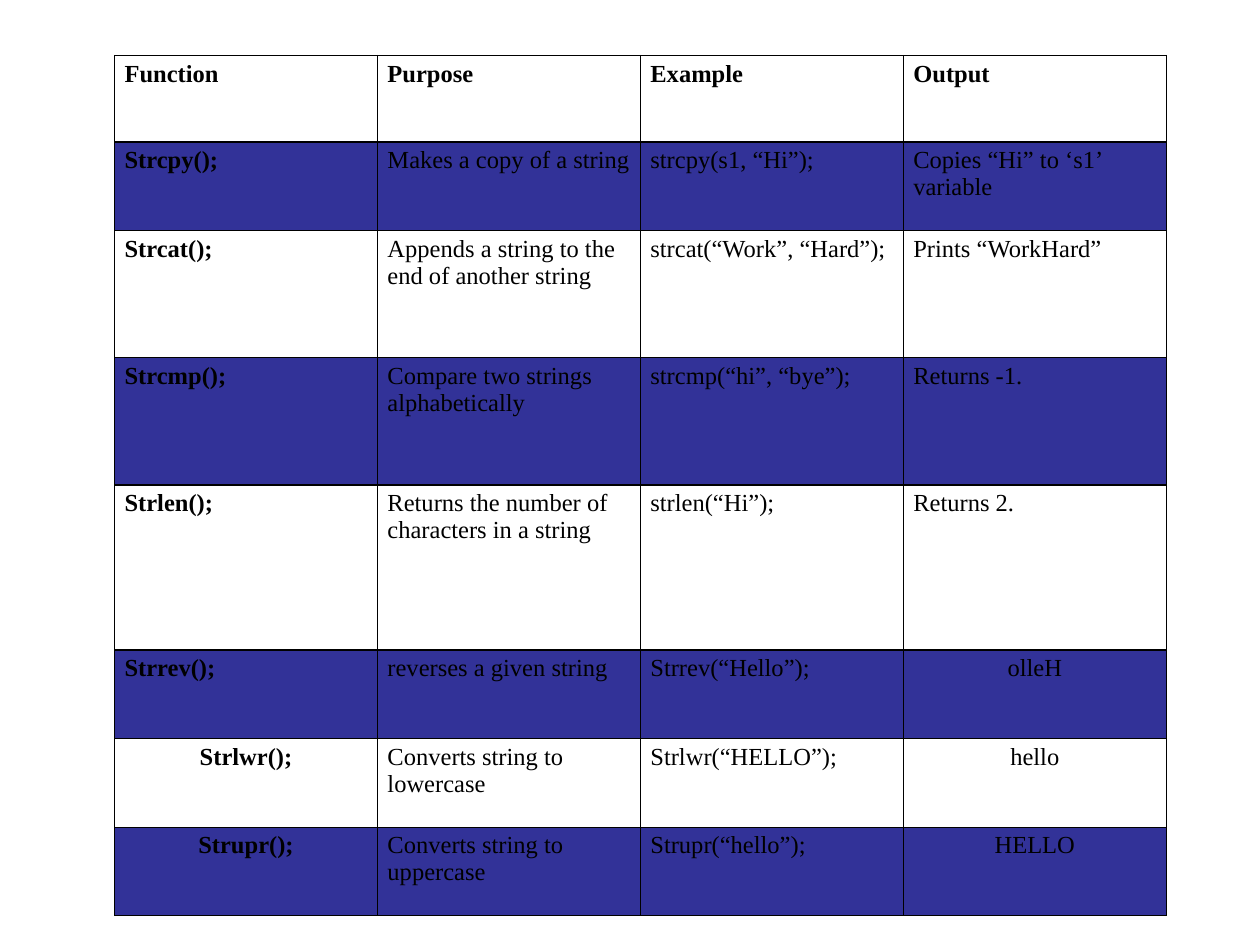
from dataclasses import dataclass
from typing import NamedTuple

from lxml import etree
from pptx import Presentation
from pptx.dml.color import RGBColor
from pptx.enum.text import PP_ALIGN
from pptx.oxml.ns import qn
from pptx.table import Table, _Cell
from pptx.util import Pt

LEFT, CENTER = PP_ALIGN.LEFT, PP_ALIGN.CENTER
BLANK_LAYOUT = 6


@dataclass(frozen=True)
class Theme:
    font: str = "Times New Roman"
    size: float = 14
    ink: str = "000000"
    band: str = "323298"
    thin: float = 0.67
    thick: float = 1.34
    margin_x: float = 5.67
    margin_y: float = 2.83


class FunctionRow(NamedTuple):
    height: float
    texts: tuple[str, str, str, str]
    centered: tuple[int, ...] = ()


THEME = Theme()
TABLE_LEFT, TABLE_TOP, COLUMN_WIDTH = 65.5, 31.7, 150.25
SHORT, MEDIUM, TALL = 50.6, 72.7, 94.3

# A no-break space keeps the last words of a purpose together.
ROWS = (
    FunctionRow(49.5, ("Function", "Purpose", "Example", "Output")),
    FunctionRow(SHORT, ("Strcpy();", "Makes a copy of a string",
                        "strcpy(s1, “Hi”);", "Copies “Hi” to ‘s1’ variable")),
    FunctionRow(MEDIUM, ("Strcat();", "Appends a string to the end of another string",
                         "strcat(“Work”, “Hard”);", "Prints “WorkHard”")),
    FunctionRow(MEDIUM, ("Strcmp();", "Compare two strings alphabetically",
                         "strcmp(“hi”, “bye”);", "Returns -1.")),
    FunctionRow(TALL, ("Strlen();", "Returns the number of characters in a string",
                       "strlen(“Hi”);", "Returns 2.")),
    FunctionRow(SHORT, ("Strrev();", "reverses a given string",
                        "Strrev(“Hello”);", "olleH"), (3,)),
    FunctionRow(SHORT, ("Strlwr();", "Converts string to lowercase",
                        "Strlwr(“HELLO”);", "hello"), (0, 3)),
    FunctionRow(SHORT, ("Strupr();", "Converts string to uppercase",
                        "Strupr(“hello”);", "HELLO"), (0, 3)),
)


def set_borders(cell: _Cell, top: float, bottom: float) -> None:
    """Draw all four borders; must run before the fill, which follows them in the XML."""
    tc_pr = cell._tc.get_or_add_tcPr()
    widths = {"a:lnL": THEME.thin, "a:lnR": THEME.thin, "a:lnT": top, "a:lnB": bottom}
    for tag, width in widths.items():
        line = etree.SubElement(tc_pr, qn(tag), w=str(int(Pt(width))))
        fill = etree.SubElement(line, qn("a:solidFill"))
        etree.SubElement(fill, qn("a:srgbClr"), val=THEME.ink)


def set_text(cell: _Cell, text: str, bold: bool, align: PP_ALIGN) -> None:
    cell.margin_left = cell.margin_right = Pt(THEME.margin_x)
    cell.margin_top = cell.margin_bottom = Pt(THEME.margin_y)
    cell.text_frame.text = text
    p = cell.text_frame.paragraphs[0]
    p.alignment = align
    font = p.runs[0].font
    font.name, font.size, font.bold = THEME.font, Pt(THEME.size), bold
    font.color.rgb = RGBColor.from_string(THEME.ink)


def fill_row(table: Table, index: int, row: FunctionRow) -> None:
    table.rows[index].height = Pt(row.height)
    for column, text in enumerate(row.texts):
        cell = table.cell(index, column)
        set_text(cell, text, bold=index == 0 or column == 0,
                 align=CENTER if column in row.centered else LEFT)
        set_borders(cell, top=THEME.thick if index == 1 else THEME.thin,
                    bottom=THEME.thick if index == 0 else THEME.thin)
        if index % 2:
            cell.fill.solid()
            cell.fill.fore_color.rgb = RGBColor.from_string(THEME.band)
        else:
            cell.fill.background()


def main() -> None:
    prs = Presentation()
    prs.slide_width, prs.slide_height = Pt(720), Pt(540)
    s = prs.slides.add_slide(prs.slide_layouts[BLANK_LAYOUT])
    columns = len(ROWS[0].texts)
    table = s.shapes.add_table(
        len(ROWS), columns, Pt(TABLE_LEFT), Pt(TABLE_TOP),
        Pt(columns * COLUMN_WIDTH), Pt(sum(row.height for row in ROWS))).table
    table.first_row = table.horz_banding = False
    for column in table.columns:
        column.width = Pt(COLUMN_WIDTH)
    for index, row in enumerate(ROWS):
        fill_row(table, index, row)
    prs.save("out.pptx")


if __name__ == "__main__":
    main()
